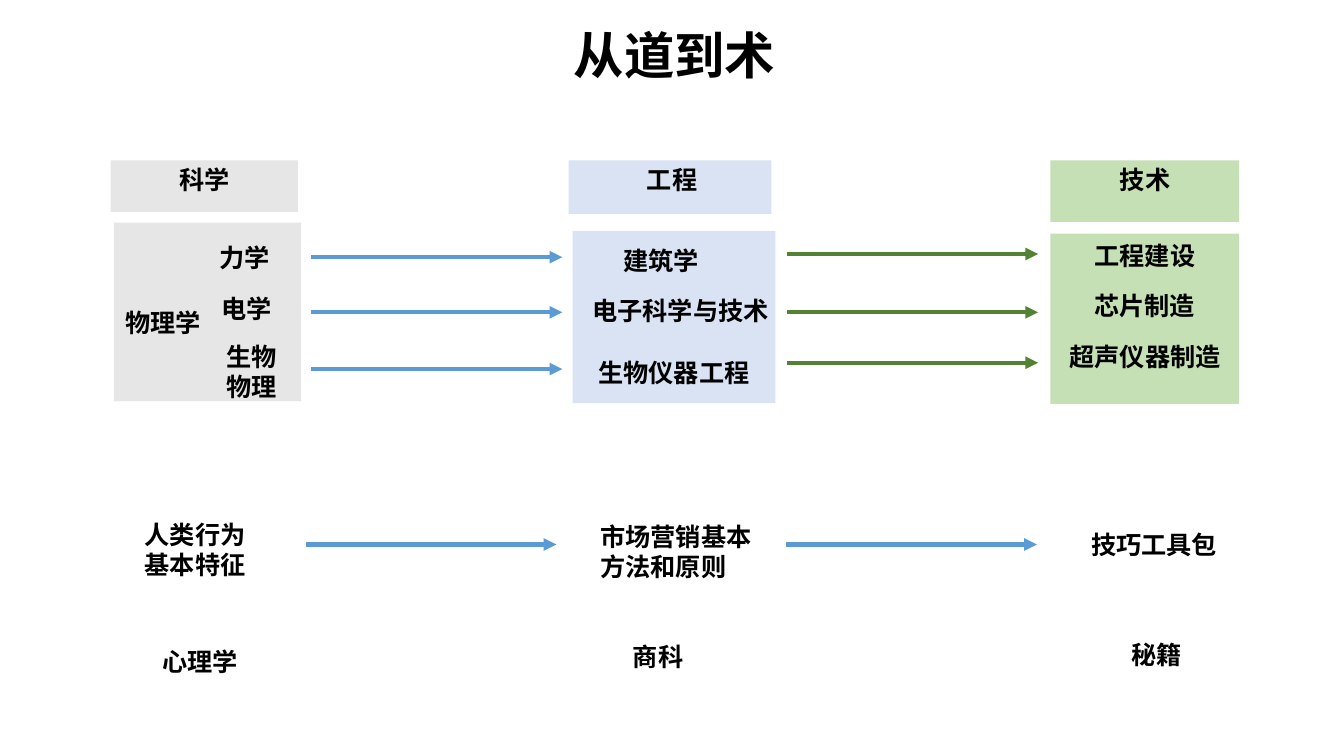
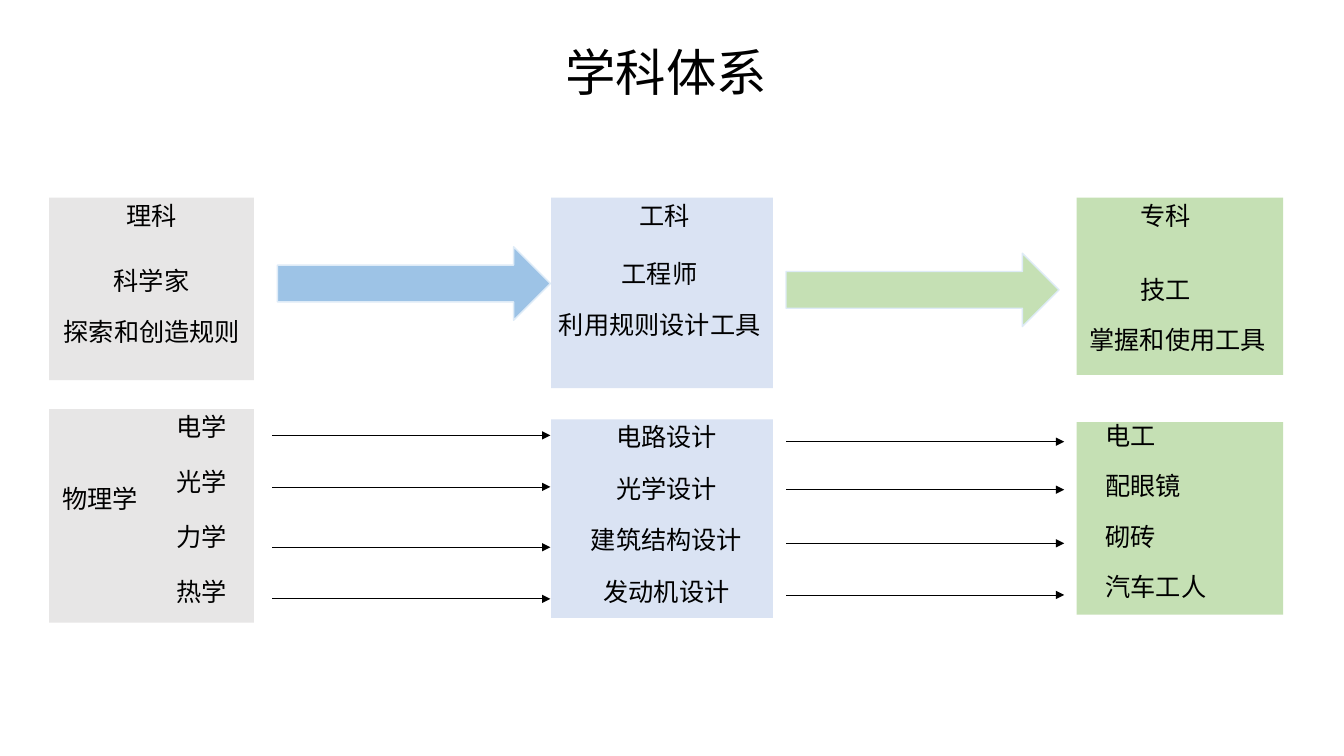
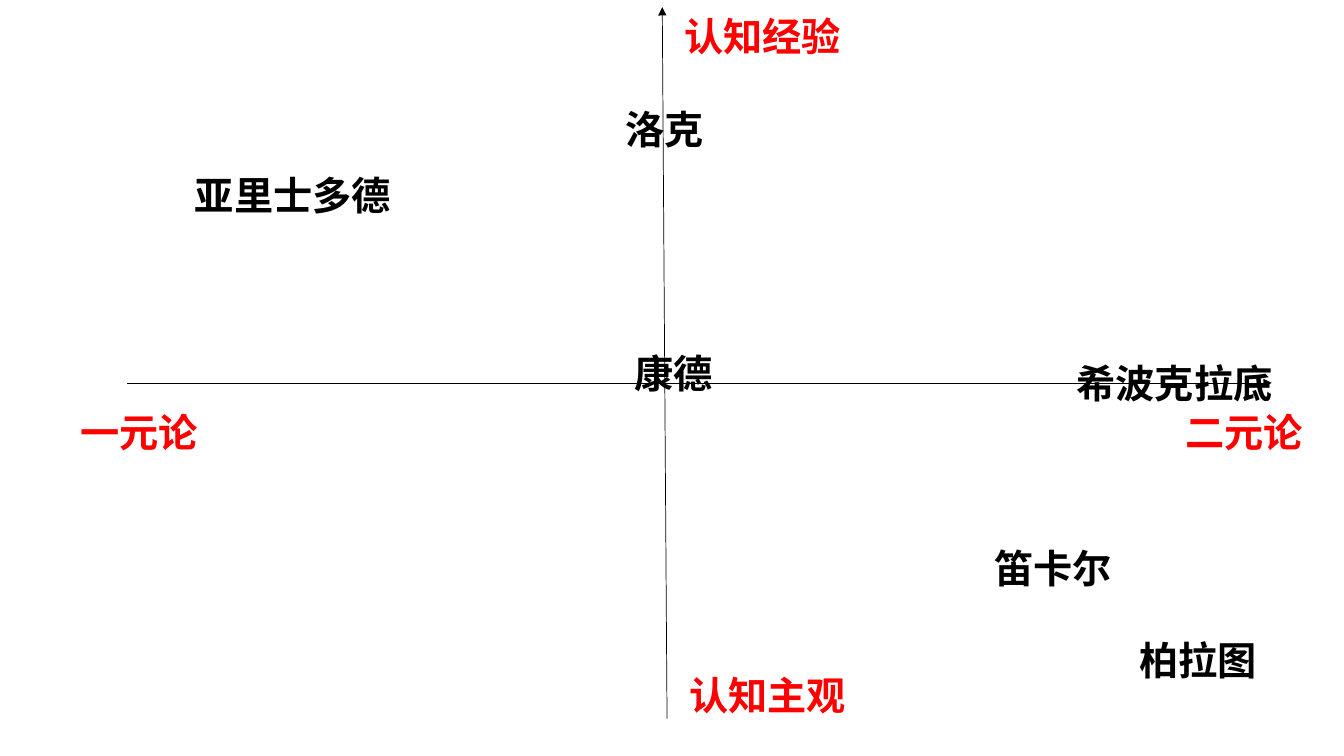
from lxml.etree import SubElement
from pptx import Presentation
from pptx.dml.color import RGBColor as Rgb
from pptx.enum.shapes import MSO_CONNECTOR as Link, MSO_SHAPE as Form
from pptx.enum.text import MSO_AUTO_SIZE as Fit, PP_ALIGN as Align
from pptx.oxml.ns import qn
from pptx.util import Cm, Pt

FONT = "Noto Sans CJK SC"
HUES = {
    "ink": "000000", "red": "FF0000", "grey": "E7E6E6", "pale": "DAE3F3",
    "mint": "C5E0B4", "blue": "5B9BD5", "green": "548235", "sky": "9DC3E6",
    "ice": "DEEBF7",
}
WIDE, TALL = 33.87, 19.05


def tint(name):
    """Return the colour of a palette name."""
    return Rgb.from_string(HUES[name])


def write(slide, text, x, y, wide, size=18, bold=False, hue="ink", align=Align.CENTER):
    """Place a text box that grows downwards, one paragraph per line."""
    lines = text.split("\n")
    tall = size * 0.0565 * len(lines)
    frame = slide.shapes.add_textbox(Cm(x), Cm(y), Cm(wide), Cm(tall)).text_frame
    frame.word_wrap = True
    frame.auto_size = Fit.SHAPE_TO_FIT_TEXT
    frame.text = text
    for para in frame.paragraphs:
        para.alignment = align
        run = para.runs[0]
        run.font.size = Pt(size)
        run.font.bold = bold
        run.font.color.rgb = tint(hue)
        run.font.name = FONT
        SubElement(run.font._element, qn("a:ea")).set("typeface", FONT)


def block(slide, box, hue, form=Form.RECTANGLE, edge=None):
    """Draw a filled shape, with an outline if an edge colour is given."""
    shape = slide.shapes.add_shape(form, *[Cm(n) for n in box])
    shape.shadow.inherit = False
    shape.fill.solid()
    shape.fill.fore_color.rgb = tint(hue)
    if edge:
        shape.line.color.rgb = tint(edge)
        shape.line.width = Pt(1)
    else:
        shape.line.fill.background()


def arrow(slide, start, end, hue="ink", width=0.5):
    """Draw a straight line with a triangle at its end."""
    line = slide.shapes.add_connector(Link.STRAIGHT, *[Cm(n) for n in (*start, *end)])
    line.line.color.rgb = tint(hue)
    line.line.width = Pt(width)
    frame = line._element.spPr
    SubElement(frame.find(qn("a:ln")), qn("a:tailEnd")).set("type", "triangle")
    SubElement(frame, qn("a:effectLst"))


def arrows(slide, x, wide, rows, **look):
    """Draw level arrows of one length, one per row."""
    for y in rows:
        arrow(slide, (x, y), (x + wide, y), **look)


def panel(slide, box, hue, items, **look):
    """Draw a panel with labels given as text, offset and width."""
    block(slide, box, hue)
    for text, x, y, wide in items:
        write(slide, text, box[0] + x, box[1] + y, wide, **look)


def stack(words, x, y, wide, step):
    """Return panel labels set at equal steps down a column."""
    return [(word, x, y + i * step, wide) for i, word in enumerate(words)]


def title(slide, text, x, y, wide, bold=False):
    """Write the centred slide title."""
    write(slide, text, x, y, wide, size=36, bold=bold)


def craft(slide):
    """Build the slide that leads from principles to skills."""
    title(slide, "从道到术", 0.15, 0.48, 33.7, bold=True)
    heads = [
        ("科学", "grey", 2.79, 4.72, 1.3, 0),
        ("工程", "pale", 14.33, 5.11, 1.35, 0.25),
        ("技术", "mint", 26.47, 4.75, 1.55, 0.03),
    ]
    for text, hue, x, wide, tall, shift in heads:
        panel(slide, (x, 4.04, wide, tall), hue, [(text, shift, -0.03, 4.72)], bold=True)
    bodies = [
        ((2.87, 5.61, 4.72, 4.5), "grey", [
            ("物理学", -0.1, 2.01, 2.67), ("力学", 2.21, 0.38, 2.18),
            ("电学", 2.26, 1.65, 2.18), ("生物\n物理", 2.36, 2.87, 2.21)]),
        ((14.43, 5.82, 5.11, 4.34), "pale", [
            ("建筑学", 0, 0.23, 4.45), ("电子科学与技术", 0, 1.5, 5.44),
            ("生物仪器工程", 0, 3.05, 5.11)]),
        ((26.47, 5.89, 4.75, 4.29), "mint", [
            ("工程建设", 0.66, 0.03, 3.45), ("芯片制造", 0.43, 1.3, 3.89),
            ("超声仪器制造", -0.33, 2.59, 5.44)]),
    ]
    for box, hue, items in bodies:
        panel(slide, box, hue, items, bold=True)
    flows = [
        (7.85, (6.48, 7.87, 9.3), "blue"), (19.84, (6.4, 7.87, 9.14), "green"),
        (7.7, (13.72,), "blue"), (19.81, (13.72,), "blue"),
    ]
    for x, rows, hue in flows:
        arrows(slide, x, 6.32, rows, hue=hue, width=3)
    notes = [
        ("人类行为基本特征", 3.4, 12.95, 3.61), ("市场营销基本方法和原则", 14.88, 13, 4.42),
        ("技巧工具包", 27.25, 13.21, 4.42), ("心理学", 3.84, 16.15, 3.61),
        ("商科", 15.7, 16.03, 3.61), ("秘籍", 28.27, 15.98, 3.61),
    ]
    for text, x, y, wide in notes:
        write(slide, text, x, y, wide, bold=True, align=Align.LEFT)


def fields(slide):
    """Build the slide on the system of disciplines."""
    title(slide, "学科体系", 1.24, 0.91, 31.09)
    tops = [
        ((1.24, 4.98, 5.16, 4.6), "grey", [
            ("理科", 0, -0.05, 5.16), ("科学家", 0, 1.57, 5.16),
            ("探索和创造规则", -0.56, 2.87, 6.3)]),
        ((13.89, 4.98, 5.59, 4.8), "pale", [
            ("工科", 0.28, -0.05, 5.16), ("工程师", 0.15, 1.4, 5.16),
            ("利用规则设计工具", -0.76, 2.69, 6.99)]),
        ((27.13, 4.98, 5.21, 4.47), "mint", [
            ("专科", -0.33, -0.05, 5.16), ("技工", -0.33, 1.8, 5.16),
            ("掌握和使用工具", -0.61, 3.07, 6.32)]),
    ]
    for box, hue, items in tops:
        panel(slide, box, hue, items)
    parts = stack(["电学", "光学", "力学", "热学"], 2.95, -0.08, 3.63, 1.39)
    plans = stack(["电路设计", "光学设计", "建筑结构设计", "发动机设计"], 0.48, -0.08, 4.85, 1.3)
    jobs = stack(["电工", "配眼镜", "砌砖", "汽车工人"], 0.48, -0.18, 3.96, 1.27)
    whole = ("物理学", 0.08, 1.75, 2.92)
    panel(slide, (1.24, 10.31, 5.16, 5.38), "grey", [whole, *parts], align=Align.LEFT)
    panel(slide, (13.89, 10.57, 5.59, 5), "pale", plans)
    panel(slide, (27.13, 10.64, 5.21, 4.85), "mint", jobs, align=Align.LEFT)
    arrows(slide, 6.86, 7.01, (10.97, 12.27, 13.79, 15.09))
    arrows(slide, 19.81, 7.01, (11.13, 12.34, 13.69, 14.99))
    for x, y, hue in [(6.99, 6.22, "sky"), (19.81, 6.38, "mint")]:
        block(slide, (x, y, 6.88, 1.85), hue, form=Form.RIGHT_ARROW, edge="ice")


def chart(slide):
    """Build the map of thinkers on two axes."""
    arrow(slide, (3.2, 9.65), (32.05, 9.65))
    arrow(slide, (16.81, 18.11), (16.69, 0.18))
    ends = [
        ("二元论", 29.62, 10.16, 4.27), ("一元论", 1.78, 10.16, 4.27),
        ("认知经验", 16.99, 0.18, 5.79), ("认知主观", 17.12, 16.79, 5.79),
    ]
    for text, x, y, wide in ends:
        write(slide, text, x, y, wide, size=28, bold=True, hue="red", align=Align.LEFT)
    minds = [
        ("亚里士多德", 3.71, 4.19), ("柏拉图", 26.52, 15.9), ("笛卡尔", 22.86, 13.59),
        ("希波克拉底", 25.93, 8.94), ("洛克", 13.08, 2.54), ("康德", 13.31, 8.69),
    ]
    for text, x, y in minds:
        write(slide, text, x, y, 7.34, size=28, bold=True)


def main():
    """Build the deck and save it."""
    deck = Presentation()
    deck.slide_width, deck.slide_height = Cm(WIDE), Cm(TALL)
    for build in (craft, fields, chart):
        build(deck.slides.add_slide(deck.slide_layouts[6]))
    deck.save("out.pptx")


if __name__ == "__main__":
    main()
